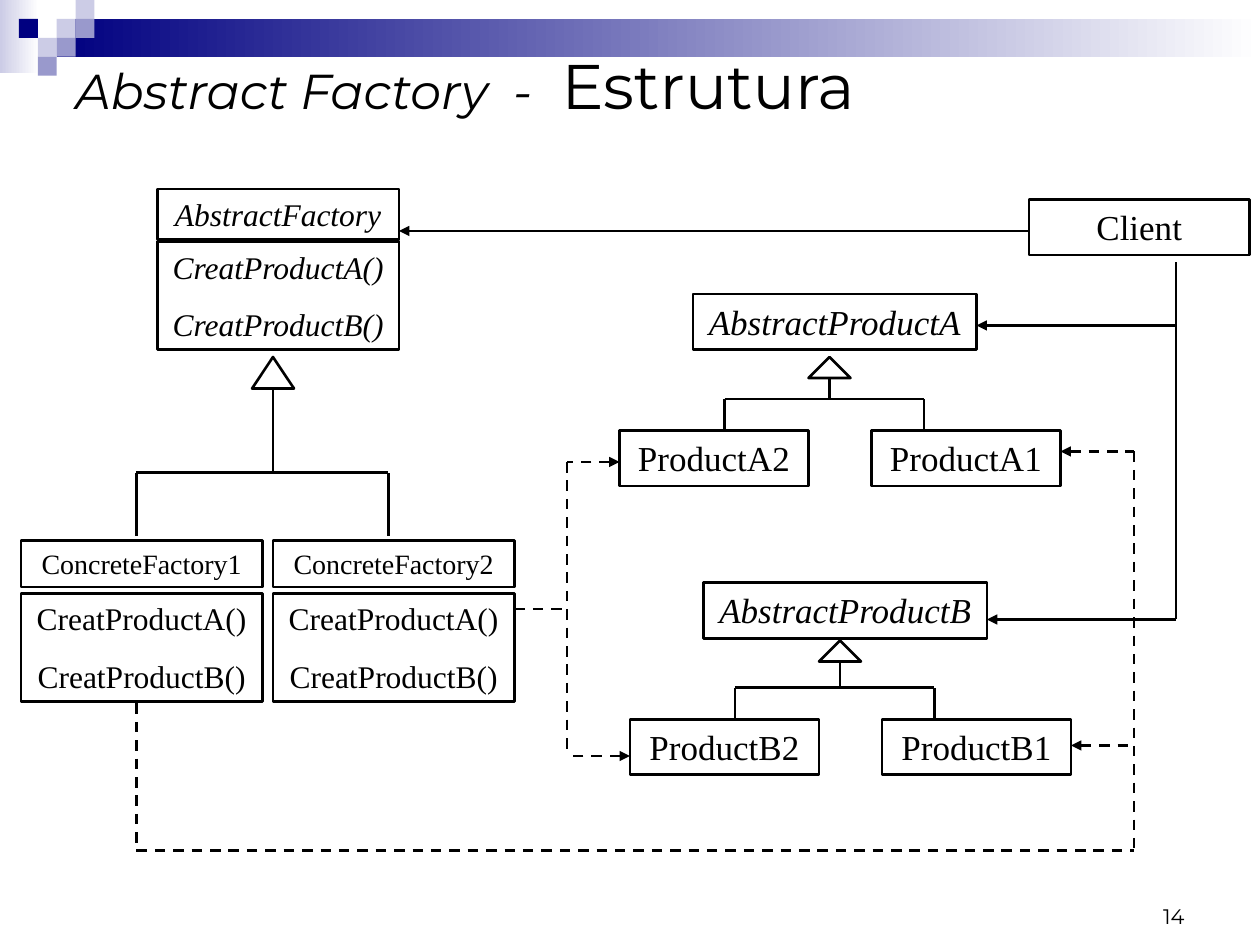
from lxml.etree import SubElement
from pptx import Presentation
from pptx.dml.color import RGBColor
from pptx.enum.dml import MSO_LINE
from pptx.enum.shapes import MSO_CONNECTOR, MSO_SHAPE
from pptx.enum.text import MSO_ANCHOR, MSO_AUTO_SIZE, PP_ALIGN
from pptx.oxml.ns import qn
from pptx.util import Pt

SCALE = 7620
SERIF, SANS = "Times New Roman", "Montserrat"
BLACK, NAVY, MAUVE, PALE, WHITE = "000000", "000080", "9999CC", "CCCCE6", "FFFFFF"
NAME_HEIGHT = 53


def px(*lengths):
    """Turn px lengths into EMU."""
    return [length * SCALE for length in lengths]


def paint(target, color):
    """Give a fill, line or font colour its hex value."""
    target.rgb = RGBColor.from_string(color)


def apply(target, values):
    """Set every attribute named in a dict."""
    for name, value in values.items():
        setattr(target, name, value)


def write(para, text, size, font=SERIF, italic=False):
    """Add one formatted span to a paragraph."""
    span = para.add_run()
    span.text = text
    apply(span.font, {"name": font, "size": Pt(size), "italic": italic})
    paint(span.font.color, BLACK)


def outline(page, kind, box):
    """Add an unfilled shape with a black outline."""
    shape = page.shapes.add_shape(kind, *px(*box))
    shape.shadow.inherit = False
    shape.fill.background()
    shape.line.width = Pt(1.5)
    paint(shape.line.color, BLACK)
    return shape


def class_box(page, box, lines, size=20, italic=False):
    """Draw a class compartment with centred lines of text."""
    frame = outline(page, MSO_SHAPE.RECTANGLE, box).text_frame
    apply(frame, {"word_wrap": True, "vertical_anchor": MSO_ANCHOR.TOP})
    for index, text in enumerate(lines):
        para = frame.paragraphs[0] if index == 0 else frame.add_paragraph()
        apply(para, {"alignment": PP_ALIGN.CENTER, "space_before": Pt(size * 0.625)})
        write(para, text, size, italic=italic)


def wire(page, start, end, dashed=False, arrow=False):
    """Draw a line, with an optional arrowhead at its start."""
    line = page.shapes.add_connector(MSO_CONNECTOR.STRAIGHT, *px(*start, *end))
    line.line.width = Pt(1.5)
    paint(line.line.color, BLACK)
    if dashed:
        line.line.dash_style = MSO_LINE.DASH
    properties = line._element.spPr
    if arrow:
        SubElement(properties.find(qn("a:ln")), qn("a:headEnd"), type="triangle")
    SubElement(properties, qn("a:effectLst"))


def inheritance(page, box, height, bar, feet):
    """Draw a triangle and its branches inside a box from apex to feet."""
    left, top, width, depth = box
    middle = left + width // 2
    outline(page, MSO_SHAPE.FLOWCHART_EXTRACT, (left, top, width, height))
    wire(page, (middle, bar), (middle, top + height))
    wire(page, (feet[0], bar), (feet[1], bar))
    for foot in feet:
        wire(page, (foot, top + depth), (foot, bar))


def factory(page, left, top, name, name_height, size, italic=False):
    """Draw a factory class with its name and operations."""
    class_box(page, (left, top, 230, name_height), [name], size, italic)
    operations = ["CreatProductA()", "CreatProductB()"]
    class_box(page, (left, top + 50, 230, 103), operations, 18, italic)


def factories(page, left, top):
    """Draw the abstract factory and its two concrete ones."""
    factory(page, left + 130, top, "AbstractFactory", 48, 18, True)
    for index in range(2):
        factory(page, left + 240 * index, top + 335, f"ConcreteFactory{index + 1}", 44, 16)
    feet = (left + 110, left + 350)
    inheritance(page, (left + 220, top + 160, 40, 170), 30, top + 270, feet)


def family(page, left, top, letter, gap):
    """Draw an abstract product and its two variants."""
    class_box(page, (left + 70, top, 270, NAME_HEIGHT), [f"AbstractProduct{letter}"], italic=True)
    for offset, number in ((0, 2), (240, 1)):
        box = (left + offset, top + 130, 180, NAME_HEIGHT)
        class_box(page, box, [f"Product{letter}{number}"])
    feet = (left + 100, left + 290)
    inheritance(page, (left + 180, top + gap, 40, 130 - gap), 20, top + 100, feet)


def client(page, left, top):
    """Draw the client and the classes it refers to."""
    class_box(page, (left, top, 210, NAME_HEIGHT), ["Client"])
    trunk = left + 140
    wire(page, (trunk, top + 400), (trunk, top + 60))
    wire(page, (380, top + 30), (left, top + 30), arrow=True)
    for tip, drop in ((930, 120), (940, 400)):
        wire(page, (tip, top + drop), (trunk, top + drop), arrow=True)


def creations(page):
    """Draw the dashed links from concrete factories to products."""
    plain = [
        ((130, 670), (130, 810)), ((130, 810), (1080, 810)), ((1080, 430), (1080, 810)),
        ((490, 580), (540, 580)), ((540, 440), (540, 720)),
    ]
    tipped = [
        ((1010, 430), (1080, 430)), ((1020, 710), (1080, 710)),
        ((590, 440), (540, 440)), ((600, 720), (540, 720)),
    ]
    for links, arrow in ((plain, False), (tipped, True)):
        for start, end in links:
            wire(page, start, end, dashed=True, arrow=arrow)


def tile(page, box, *colors):
    """Draw a borderless block in one colour or a left-to-right gradient."""
    shape = page.shapes.add_shape(MSO_SHAPE.RECTANGLE, *px(*box))
    shape.shadow.inherit = False
    shape.line.fill.background()
    if len(colors) == 1:
        shape.fill.solid()
        paint(shape.fill.fore_color, colors[0])
        return
    shape.fill.gradient()
    shape.fill.gradient_angle = 0
    for stop, color in zip(shape.fill.gradient_stops, colors):
        paint(stop.color, color)


def banner(page, width):
    """Draw the gradient band and the mosaic at the top left."""
    tile(page, (0, 0, 37, 70), PALE, WHITE)
    tile(page, (54, 18, width - 54, 36), NAVY, WHITE)
    mosaic = [
        (3, 1, PALE), (4, 0, PALE), (4, 1, MAUVE), (2, 2, PALE),
        (1, 1, NAVY), (3, 2, MAUVE), (2, 3, MAUVE),
    ]
    for column, row, color in mosaic:
        tile(page, (18 * column, 18 * row, 18, 18), color)


def heading(page, box):
    """Place the title in its placeholder."""
    title = page.shapes.title
    apply(title, dict(zip(("left", "top", "width", "height"), px(*box))))
    apply(title.text_frame, {
        "word_wrap": True,
        "vertical_anchor": MSO_ANCHOR.MIDDLE,
        "auto_size": MSO_AUTO_SIZE.NONE,
    })
    para = title.text_frame.paragraphs[0]
    para.alignment = PP_ALIGN.LEFT
    write(para, "Abstract Factory  - ", 28, SANS, True)
    write(para, " Estrutura", 36, SANS)


def page_number(page, box):
    """Place the page number at the lower right."""
    frame = page.shapes.add_textbox(*px(*box)).text_frame
    apply(frame, {"word_wrap": True, "vertical_anchor": MSO_ANCHOR.BOTTOM})
    frame.paragraphs[0].alignment = PP_ALIGN.RIGHT
    write(frame.paragraphs[0], "14", 12, SANS)


def main():
    """Build the deck and save it."""
    deck = Presentation()
    deck.slide_width, deck.slide_height = px(1200, 900)
    page = deck.slides.add_slide(deck.slide_layouts[5])
    banner(page, 1200)
    heading(page, (60, 30, 1080, 100))
    factories(page, 20, 180)
    family(page, 590, 280, "A", 60)
    family(page, 600, 555, "B", 55)
    client(page, 980, 190)
    creations(page)
    page_number(page, (860, 830, 280, 60))
    deck.save("out.pptx")


if __name__ == "__main__":
    main()
